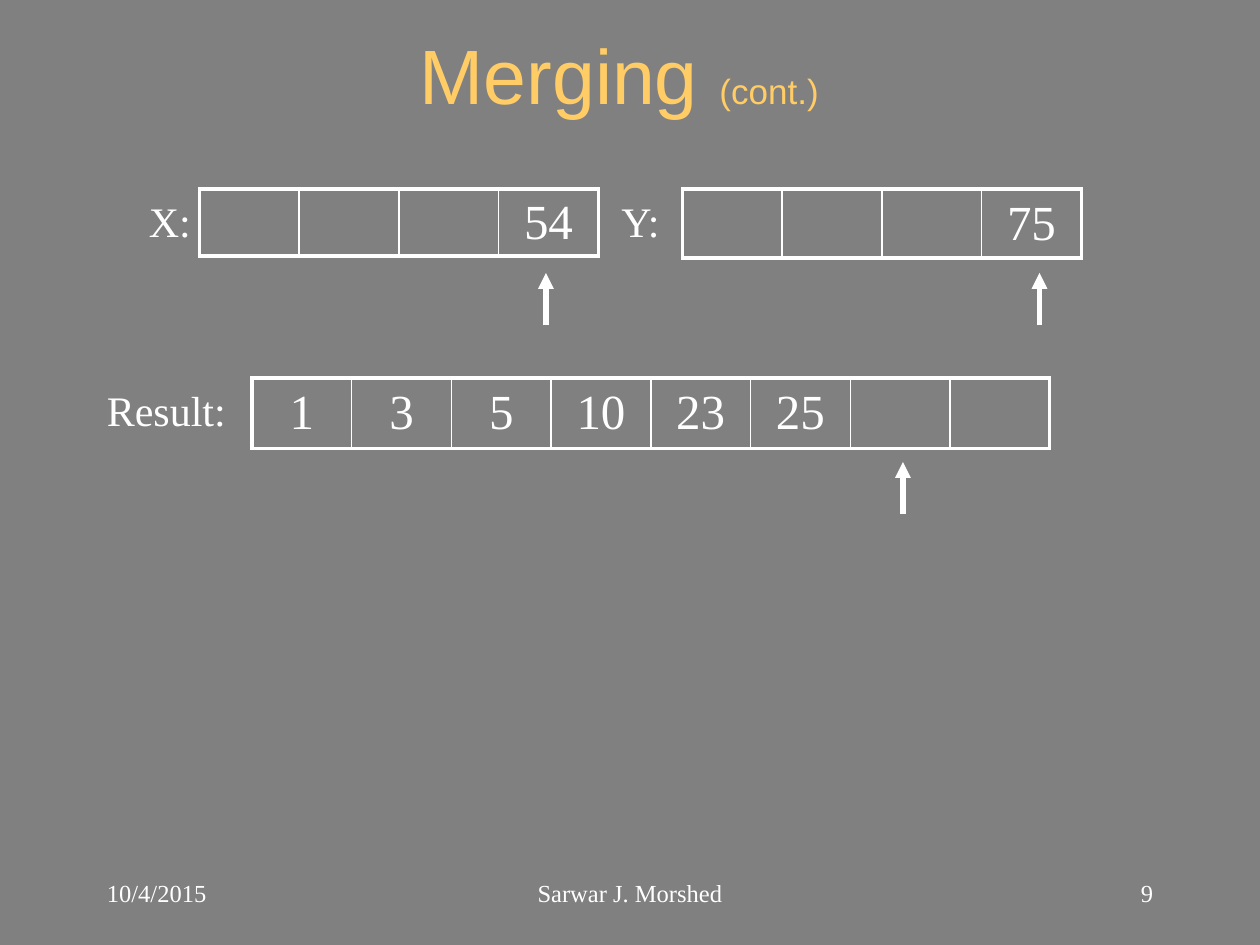
from dataclasses import dataclass

from lxml import etree
from pptx import Presentation
from pptx import util as u
from pptx.dml.color import RGBColor
from pptx.enum import shapes, text
from pptx.oxml import ns


@dataclass(frozen=True)
class Theme:
    background: str = "808080"
    ink: str = "FFFFFF"
    accent: str = "FFCC66"
    title_font: str = "Arial"
    body_font: str = "Times New Roman"
    title: int = 44
    subtitle: int = 20
    value: int = 28
    label: int = 24
    footer: int = 14
    outer_border: float = 2.25
    inner_border: float = 1
    arrow: float = 3


THEME = Theme()
LEFT, CENTER, RIGHT = text.PP_ALIGN.LEFT, text.PP_ALIGN.CENTER, text.PP_ALIGN.RIGHT

COLUMNS, ROWS = 120, 90
CELL_WIDTH = 9.5
TITLE = [("Merging ", THEME.title), ("(cont.)", THEME.subtitle), (" ", THEME.title)]
ARRAYS = [
    {"label": "X:", "label_at": 13, "label_width": 7, "left": 19, "top": 18,
     "height": 6.4, "pointer": 52, "values": ["", "", "", "54"]},
    {"label": "Y:", "label_at": 58, "label_width": 7, "left": 65, "top": 18,
     "height": 6.4, "pointer": 99, "values": ["", "", "", "75"]},
    {"label": "Result:", "label_at": 9, "label_width": 14, "left": 24, "top": 36,
     "height": 6.7, "pointer": 86,
     "values": ["1", "3", "5", "10", "23", "25", "", ""]},
]
FOOTERS = [
    ("10/4/2015", 9, 25, LEFT),
    ("Sarwar J. Morshed", 41, 38, CENTER),
    ("9", 86, 25, RIGHT),
]

presentation = Presentation()
presentation.slide_width, presentation.slide_height = u.Inches(10), u.Inches(7.5)


def across(columns):
    return round(presentation.slide_width * columns / COLUMNS)


def down(rows):
    return round(presentation.slide_height * rows / ROWS)


def place(left, top, width, height):
    return across(left), down(top), across(width), down(height)


def format_run(run, size, font=THEME.body_font, color=THEME.ink):
    run.font.size, run.font.name = u.Pt(size), font
    run.font.color.rgb = RGBColor.from_string(color)


def fill_text(frame, words, size, alignment):
    frame.text = words
    paragraph = frame.paragraphs[0]
    paragraph.alignment = alignment
    for run in paragraph.runs:
        format_run(run, size)


def add_text(slide, words, box, size, alignment, anchor):
    frame = slide.shapes.add_textbox(*place(*box)).text_frame
    frame.word_wrap = True
    frame.vertical_anchor = anchor
    fill_text(frame, words, size, alignment)


def add_border(cell, side, width):
    line = etree.SubElement(cell._tc.get_or_add_tcPr(), ns.qn(f"a:ln{side}"),
                            w=str(u.Pt(width)))
    fill = etree.SubElement(line, ns.qn("a:solidFill"))
    etree.SubElement(fill, ns.qn("a:srgbClr"), val=THEME.ink)


def add_array(slide, array):
    values = array["values"]
    table = slide.shapes.add_table(
        1, len(values),
        *place(array["left"], array["top"], CELL_WIDTH * len(values), array["height"]),
    ).table
    table.first_row = table.horz_banding = False
    for index, value in enumerate(values):
        cell = table.cell(0, index)
        outer_sides = {"T", "B"}
        if index == 0:
            outer_sides.add("L")
        if index == len(values) - 1:
            outer_sides.add("R")
        for side in "LRTB":
            add_border(cell, side,
                       THEME.outer_border if side in outer_sides else THEME.inner_border)
        cell.fill.background()
        cell.margin_top = cell.margin_bottom = u.Inches(0.04)
        cell.vertical_anchor = text.MSO_ANCHOR.MIDDLE
        fill_text(cell.text_frame, value, THEME.value, CENTER)


def add_pointer(slide, column, array_top):
    arrow = slide.shapes.add_connector(
        shapes.MSO_CONNECTOR.STRAIGHT,
        across(column), down(array_top + 13), across(column), down(array_top + 8))
    arrow.line.width = u.Pt(THEME.arrow)
    arrow.line.color.rgb = RGBColor.from_string(THEME.ink)
    etree.SubElement(arrow.line._get_or_add_ln(), ns.qn("a:tailEnd"), type="triangle")
    etree.SubElement(arrow._element.spPr, ns.qn("a:effectLst"))


def add_title(slide):
    title = slide.shapes.title
    title.left, title.top, title.width, title.height = place(9, 2, 102, 10)
    title.text_frame.vertical_anchor = text.MSO_ANCHOR.MIDDLE
    paragraph = title.text_frame.paragraphs[0]
    paragraph.alignment = CENTER
    for words, size in TITLE:
        run = paragraph.add_run()
        run.text = words
        format_run(run, size, THEME.title_font, THEME.accent)


def main():
    slide = presentation.slides.add_slide(presentation.slide_layouts[5])
    slide.background.fill.solid()
    slide.background.fill.fore_color.rgb = RGBColor.from_string(THEME.background)
    add_title(slide)
    for array in ARRAYS:
        add_array(slide, array)
        add_pointer(slide, array["pointer"], array["top"])
        add_text(slide, array["label"],
                 (array["label_at"], array["top"], array["label_width"], 6),
                 THEME.label, LEFT, text.MSO_ANCHOR.TOP)
    for words, left, width, alignment in FOOTERS:
        add_text(slide, words, (left, 82, width, 6),
                 THEME.footer, alignment, text.MSO_ANCHOR.MIDDLE)
    presentation.save("out.pptx")


if __name__ == "__main__":
    main()
